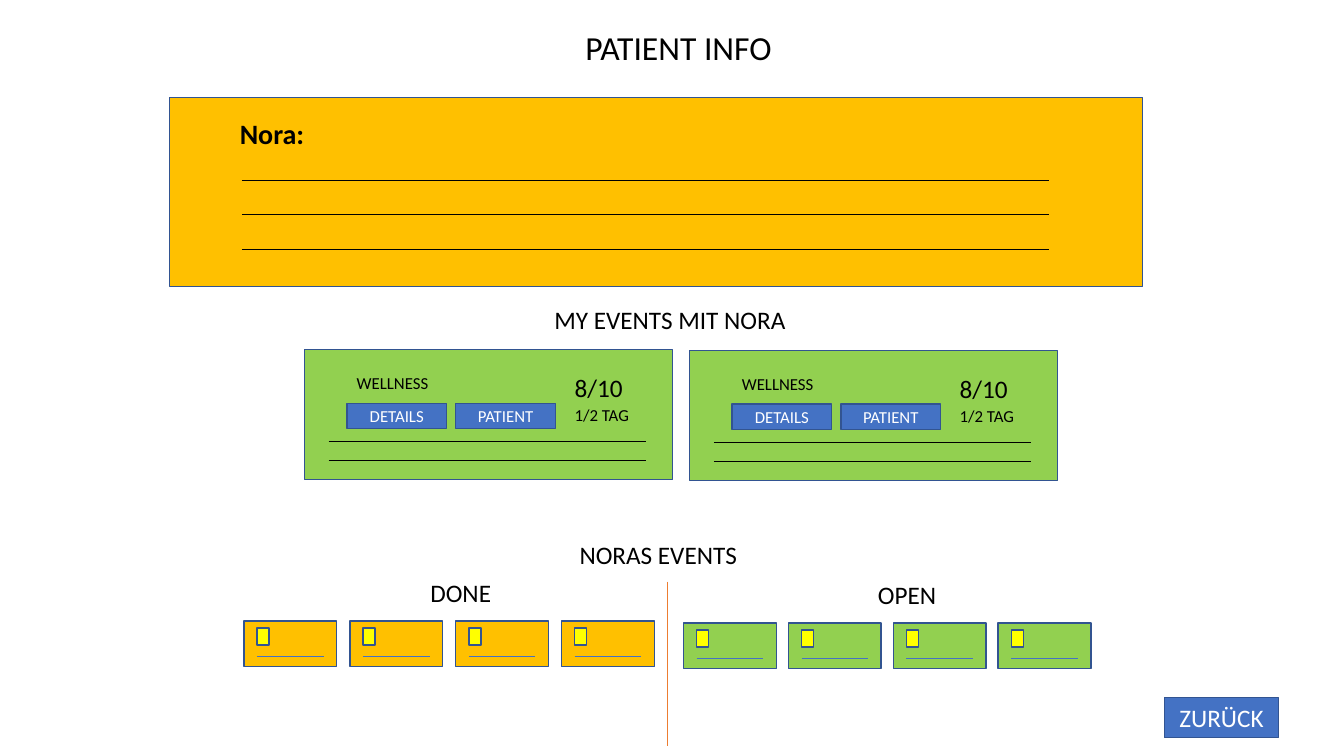
from lxml import etree
from pptx import Presentation
from pptx.dml.color import RGBColor
from pptx.enum.shapes import MSO_CONNECTOR, MSO_SHAPE
from pptx.enum.text import MSO_ANCHOR, MSO_AUTO_SIZE, PP_ALIGN
from pptx.oxml.ns import qn
from pptx.util import Inches, Pt

RECT, STRAIGHT = MSO_SHAPE.RECTANGLE, MSO_CONNECTOR.STRAIGHT
TOP, MIDDLE = MSO_ANCHOR.TOP, MSO_ANCHOR.MIDDLE
LEFT, CENTER = PP_ALIGN.LEFT, PP_ALIGN.CENTER
GROW, FIXED = MSO_AUTO_SIZE.SHAPE_TO_FIT_TEXT, MSO_AUTO_SIZE.NONE

THEME = {
    "font": "Calibri",
    "black": RGBColor.from_string("000000"),
    "white": RGBColor.from_string("FFFFFF"),
    "amber": RGBColor.from_string("FFC000"),
    "green": RGBColor.from_string("92D050"),
    "blue": RGBColor.from_string("4472C4"),
    "border": RGBColor.from_string("325491"),
    "yellow": RGBColor.from_string("FFFF00"),
    "orange": RGBColor.from_string("ED7D31"),
    "title": Pt(24), "name": Pt(20), "heading": Pt(18), "small": Pt(12),
}

prs = Presentation()
prs.slide_width, prs.slide_height = Inches(13.33), Inches(7.5)
s = prs.slides.add_slide(prs.slide_layouts[5])


def add_box(x, y, w, h, text="", size="heading", fill=None, bold=False, align=LEFT, sp=None):
    area = [Inches(v) for v in (x, y, w, h)]
    if sp is not None:
        sp.left, sp.top, sp.width, sp.height = area
    elif fill:
        sp = s.shapes.add_shape(RECT, *area)
        sp.shadow.inherit = False
        sp.fill.solid()
        sp.fill.fore_color.rgb = THEME[fill]
        sp.line.color.rgb = THEME["border"]
        sp.line.width = Pt(1)
    else:
        sp = s.shapes.add_textbox(*area)
    if not text:
        return
    tf = sp.text_frame
    tf.word_wrap = True
    tf.auto_size = FIXED if fill else GROW
    tf.vertical_anchor = MIDDLE if fill else TOP
    p = tf.paragraphs[0]
    p.alignment = align
    r = p.add_run()
    r.text = text
    for key, value in {"name": THEME["font"], "size": THEME[size], "bold": bold}.items():
        setattr(r.font, key, value)
    r.font.color.rgb = THEME["white" if fill else "black"]


def add_line(x1, y1, x2, y2, color="black", width=0.5):
    line = s.shapes.add_connector(STRAIGHT, *[Inches(v) for v in (x1, y1, x2, y2)])
    line.line.color.rgb = THEME[color]
    line.line.width = Pt(width)
    etree.SubElement(line._element.spPr, qn("a:effectLst"))


add_box(4.31, 0.22, 4.84, 0.5, "PATIENT INFO", "title", align=CENTER, sp=s.shapes.title)

add_box(1.68, 0.97, 9.65, 1.87, fill="amber")
add_box(2.28, 1.11, 1.14, 0.44, "Nora:", "name", bold=True)
for i in range(3):
    y = 1.79 + 0.34 * i
    add_line(2.4, y, 10.4, y)

add_box(5.4, 2.97, 3.13, 0.4, "MY EVENTS MIT NORA")
for x, y in ((3.02, 3.47), (6.84, 3.48)):
    add_box(x, y, 3.65, 1.29, fill="green")
    for dy in (0.91, 1.1):
        add_line(x + 0.24, y + dy, x + 3.39, y + dy)
    add_box(x + 2.58, y + 0.17, 0.81, 0.4, "8/10")
    add_box(x + 0.42, y + 0.18, 0.94, 0.3, "WELLNESS", "small")
    add_box(x + 2.58, y + 0.5, 0.82, 0.3, "1/2 TAG", "small")
    for dx, label in ((0.42, "DETAILS"), (1.5, "PATIENT")):
        add_box(x + dx, y + 0.53, 0.99, 0.25, label, "small", "blue", align=CENTER)

add_box(5.65, 5.3, 3.13, 0.4, "NORAS EVENTS")
add_line(6.62, 5.77, 6.62, 7.4, "orange", 1)
add_box(4.17, 5.68, 0.94, 0.4, "DONE")
add_box(8.61, 5.7, 0.94, 0.4, "OPEN")
for start, y, pitch, fill in ((2.42, 6.16, 1.05, "amber"), (6.78, 6.18, 1.04, "green")):
    for i in range(4):
        x = start + pitch * i
        add_box(x, y, 0.92, 0.45, fill=fill)
        add_box(x + 0.13, y + 0.07, 0.12, 0.17, fill="yellow")
        add_line(x + 0.13, y + 0.35, x + 0.79, y + 0.35, "blue")

add_box(11.55, 6.92, 1.13, 0.4, "ZURÜCK", fill="blue", align=CENTER)

prs.save("out.pptx")
